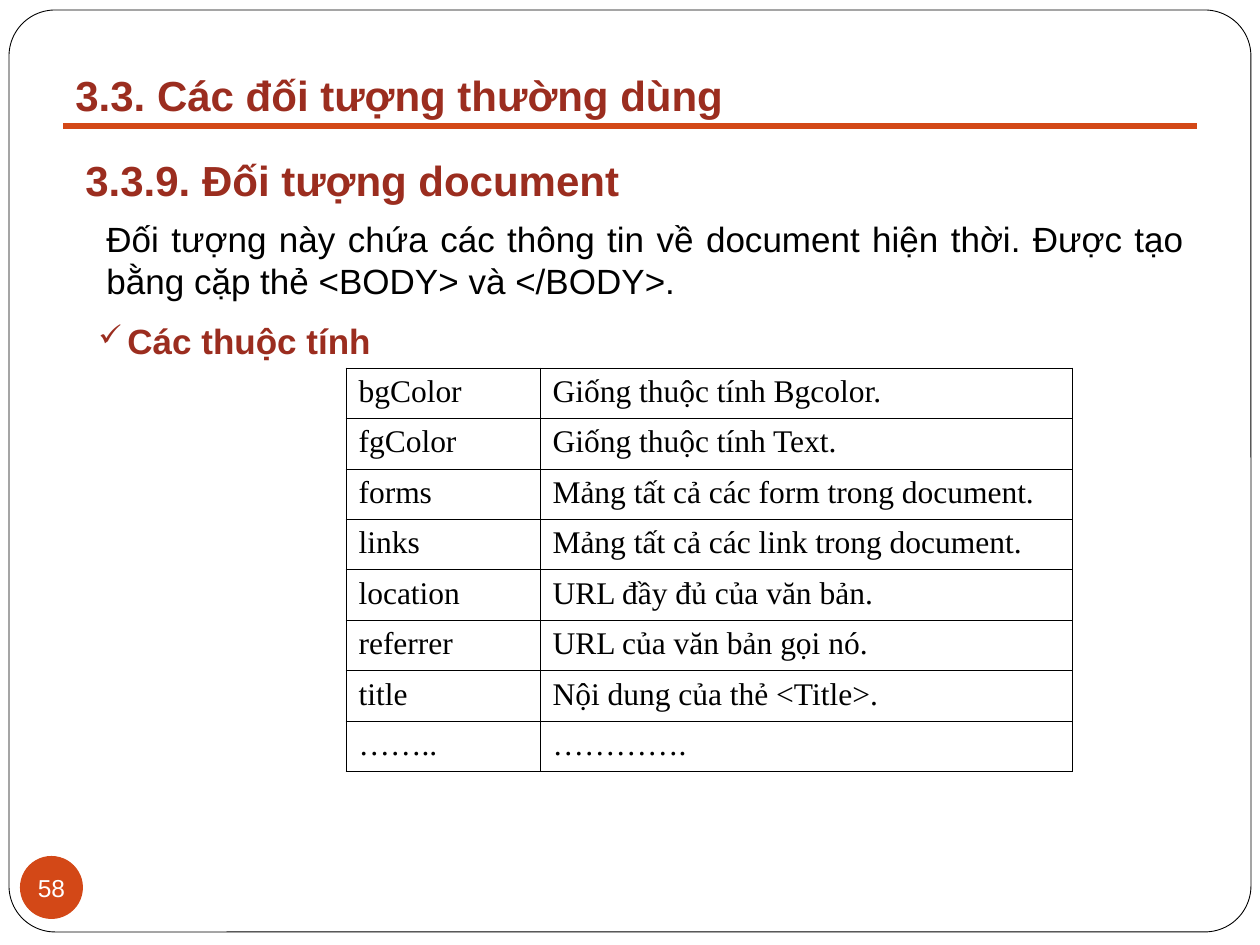
from lxml.etree import SubElement
from pptx import Presentation
from pptx.dml.color import RGBColor
from pptx.enum.shapes import MSO_CONNECTOR, MSO_SHAPE
from pptx.enum.text import MSO_ANCHOR, PP_ALIGN
from pptx.oxml.ns import qn
from pptx.util import Emu, Pt

PX = 914400 / 126
COLORS = {
    "paper": "FFFFFF",
    "ink": "000000",
    "accent": "D34817",
    "heading": "9B2D1F",
}
PROPERTIES = [
    ("bgColor", "Giống thuộc tính Bgcolor."),
    ("fgColor", "Giống thuộc tính Text."),
    ("forms", "Mảng tất cả các form trong document."),
    ("links", "Mảng tất cả các link trong document."),
    ("location", "URL đầy đủ của văn bản."),
    ("referrer", "URL của văn bản gọi nó."),
    ("title", "Nội dung của thẻ <Title>."),
    ("……..", "…………."),
]


def px(*lengths):
    return [Emu(round(length * PX)) for length in lengths]


def rgb(name):
    return RGBColor.from_string(COLORS[name])


def style(paragraph, size, color, bold=False, font="Arial", align=PP_ALIGN.LEFT):
    paragraph.alignment = align
    paragraph.font.name = font
    paragraph.font.size = Pt(size)
    paragraph.font.bold = bold
    paragraph.font.color.rgb = rgb(color)


def add_panel(slide, preset, box, fill):
    panel = slide.shapes.add_shape(preset, *px(*box))
    panel.shadow.inherit = False
    panel.fill.solid()
    panel.fill.fore_color.rgb = rgb(fill)
    panel.line.fill.background()
    return panel


def add_frame(slide):
    frame = add_panel(slide, MSO_SHAPE.ROUNDED_RECTANGLE, (9, 10, 1242, 922), "paper")
    frame.adjustments[0] = 0.05
    frame.line.color.rgb = rgb("ink")
    frame.line.width = Pt(0.5)


def add_page_number(slide, number):
    badge = add_panel(slide, MSO_SHAPE.OVAL, (20, 856, 63, 63), "accent")
    text = badge.text_frame
    text.margin_left = text.margin_right = text.margin_top = text.margin_bottom = 0
    text.vertical_anchor = MSO_ANCHOR.MIDDLE
    text.word_wrap = False
    text.text = number
    style(text.paragraphs[0], 14, "paper", align=PP_ALIGN.CENTER)


def add_title_rule(slide):
    rule = slide.shapes.add_connector(MSO_CONNECTOR.STRAIGHT, *px(63, 126, 1197, 126))
    rule.line.color.rgb = rgb("accent")
    rule.line.width = Pt(3)
    SubElement(rule._element.spPr, qn("a:effectLst"))


def add_text(slide, box, words, size, color, bold=False, wrap=True,
             align=PP_ALIGN.LEFT, check=False):
    text = slide.shapes.add_textbox(*px(*box)).text_frame
    text.word_wrap = wrap
    text.vertical_anchor = MSO_ANCHOR.MIDDLE
    text.text = words
    paragraph = text.paragraphs[0]
    if check:
        add_check_bullet(paragraph, color)
    style(paragraph, size, color, bold, align=align)


def add_check_bullet(paragraph, color):
    properties = paragraph._p.get_or_add_pPr()
    indent, = px(29)
    properties.set("marL", str(indent))
    properties.set("indent", str(-indent))
    bullet_color = SubElement(properties, qn("a:buClr"))
    SubElement(bullet_color, qn("a:srgbClr"), val=COLORS[color])
    SubElement(properties, qn("a:buSzPct"), val="85000")
    SubElement(properties, qn("a:buChar"), char="✓")


def add_borders(cell):
    properties = cell._tc.get_or_add_tcPr()
    for side in ("lnL", "lnR", "lnT", "lnB"):
        border = SubElement(properties, qn(f"a:{side}"), w=str(Pt(0.45)))
        fill = SubElement(border, qn("a:solidFill"))
        SubElement(fill, qn("a:srgbClr"), val=COLORS["ink"])


def add_property_table(slide):
    widths = px(194, 532)
    row_height = 50.4
    box = px(346, 368, 726, row_height * len(PROPERTIES))
    table = slide.shapes.add_table(len(PROPERTIES), len(widths), *box).table
    table.first_row = table.horz_banding = False
    for column, width in zip(table.columns, widths):
        column.width = width
    for row, entries in zip(table.rows, PROPERTIES):
        row.height, = px(row_height)
        for cell, entry in zip(row.cells, entries):
            cell.text = entry
            style(cell.text_frame.paragraphs[0], 18, "ink", font="Times New Roman")
            add_borders(cell)
            cell.fill.background()


def main():
    deck = Presentation()
    deck.slide_width, deck.slide_height = px(1260, 945)
    slide = deck.slides.add_slide(deck.slide_layouts[6])
    add_frame(slide)
    add_page_number(slide, "58")
    add_title_rule(slide)
    add_text(slide, (63, 63, 673, 63), "3.3. Các đối tượng thường dùng",
             24, "heading", bold=True, wrap=False)
    add_text(slide, (73, 148, 1081, 63), "3.3.9. Đối tượng document",
             24, "heading", bold=True)
    add_text(slide, (94, 211, 1103, 97),
             "Đối tượng này chứa các thông tin về document hiện thời. "
             "Được tạo bằng cặp thẻ <BODY> và </BODY>.",
             20, "ink", align=PP_ALIGN.JUSTIFY)
    add_text(slide, (86, 313, 302, 55), "Các thuộc tính",
             20, "heading", bold=True, wrap=False, check=True)
    add_property_table(slide)
    deck.save("out.pptx")


if __name__ == "__main__":
    main()
